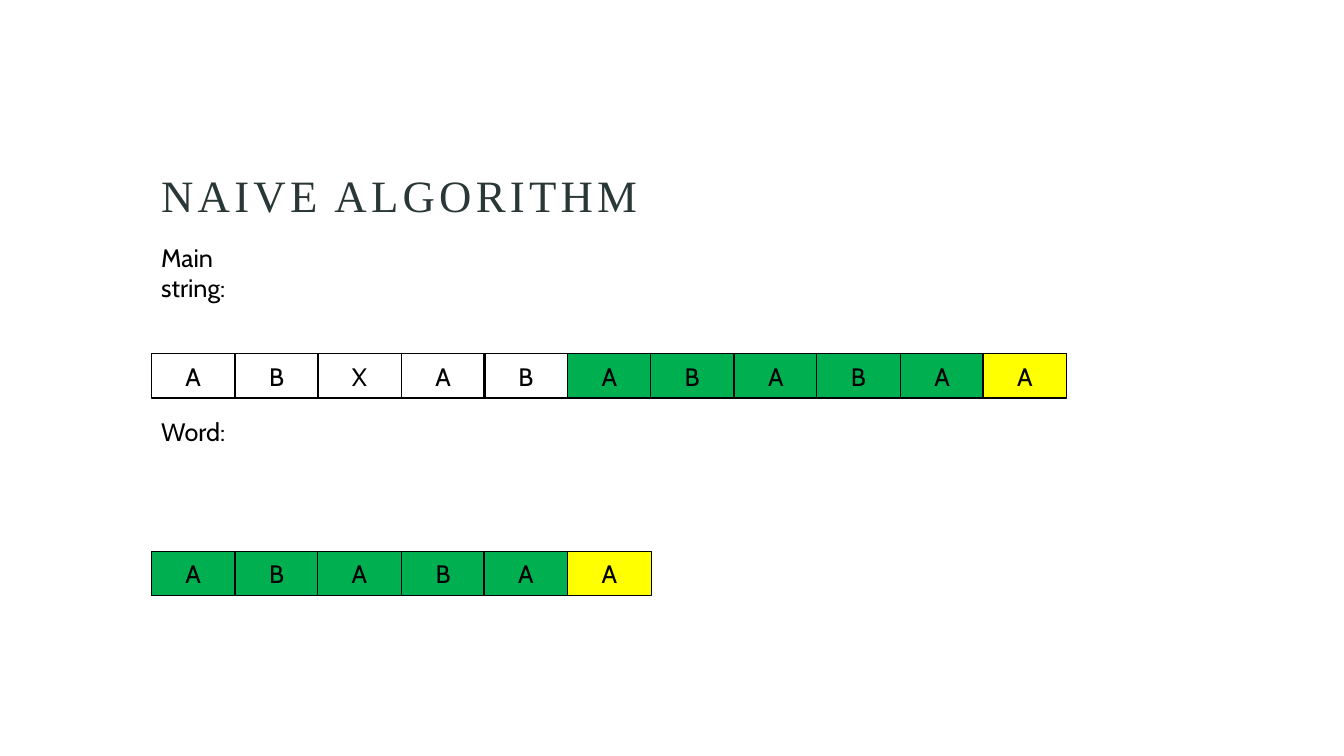
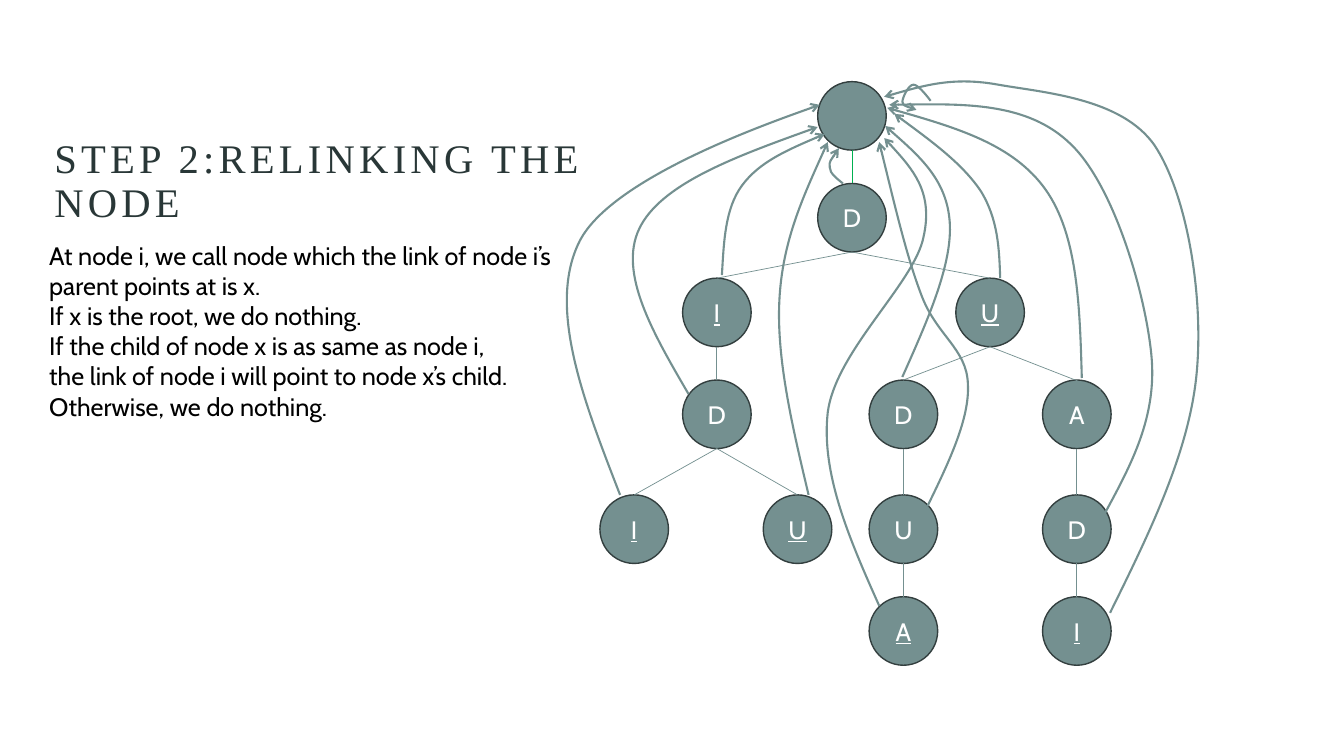
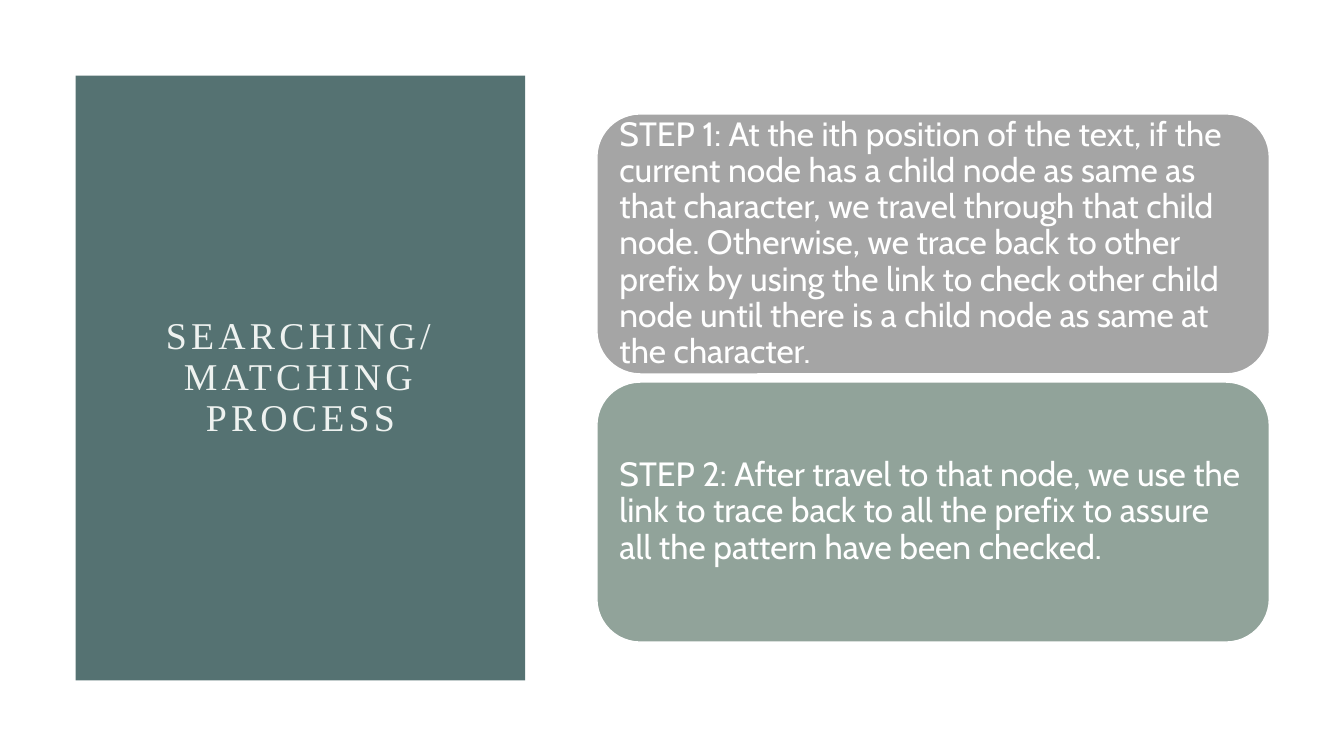
"""Build three slides on string matching: naive search, relinking a trie, searching."""
from lxml.etree import SubElement as Sub
from pptx import Presentation
from pptx.dml.color import RGBColor as Rgb
from pptx.enum.shapes import MSO_CONNECTOR as Link, MSO_SHAPE as Kind
from pptx.enum.text import MSO_ANCHOR as Anchor, PP_ALIGN as Align
from pptx.oxml.ns import qn
from pptx.util import Pt

PX = 9144
HUES = {
    "ink": "000000", "white": "FFFFFF", "title": "293737", "pale": "EEF2F0",
    "green": "00B050", "yellow": "FFFF00", "node": "749090", "rim": "333F3F",
    "panel": "557272", "gray": "A5A5A5", "sage": "91A39A",
}
SIDE = 68
NODES = {
    "root": (811, 81, "", False),
    "D": (811, 182, "D", False),
    "DU": (948, 276, "U", True),
    "DI": (677, 276, "I", True),
    "DID": (677, 377, "D", False),
    "DIDI": (595, 491, "I", True),
    "DIDU": (757, 491, "U", True),
    "DUD": (862, 377, "D", False),
    "DUDU": (862, 491, "U", False),
    "DUDUA": (862, 592, "A", True),
    "DUADI": (1034, 592, "I", True),
    "DUA": (1034, 377, "A", False),
    "DUAD": (1034, 491, "D", False),
}
ARCS = [
    [(836, 182), (830, 177), (823, 172), (823, 166), (822, 160), (832, 147), (832, 147)],
    [(716, 273), (718, 240), (719, 207), (736, 184), (753, 161), (785, 147), (818, 133)],
    [(683, 391), (648, 331), (613, 271), (634, 227), (655, 183), (733, 154), (811, 126)],
    [(615, 491), (579, 398), (542, 304), (575, 239), (608, 175), (813, 104), (813, 104)],
    [(802, 491), (786, 424), (770, 356), (773, 298), (776, 239), (799, 190), (821, 141)],
    [(992, 276), (991, 247), (990, 218), (973, 190), (955, 163), (921, 138), (887, 113)],
    [(895, 374), (920, 318), (945, 262), (942, 220), (939, 179), (909, 152), (878, 125)],
    [(920, 502), (941, 459), (962, 415), (960, 381), (959, 346), (929, 333), (914, 293),
     (899, 254), (886, 197), (872, 141)],
    [(872, 601), (843, 536), (814, 470), (821, 409), (829, 348), (907, 281), (916, 235),
     (926, 190), (901, 163), (877, 137)],
    [(1073, 375), (1071, 304), (1069, 233), (1037, 188), (1005, 143), (943, 125), (880, 107)],
    [(1096, 509), (1122, 461), (1148, 413), (1142, 352), (1136, 291), (1105, 184), (1062, 143),
     (1019, 101), (950, 103), (882, 104)],
    [(1101, 608), (1141, 527), (1180, 447), (1187, 369), (1194, 292), (1177, 192), (1145, 144),
     (1112, 97), (1035, 92), (990, 84), (946, 76), (912, 86), (877, 96)],
    [(923, 100), (917, 92), (910, 84), (906, 84), (901, 84), (895, 97), (895, 101),
     (896, 105), (902, 107), (909, 109)],
]


def hue(name):
    """Return the colour that a name stands for."""
    return Rgb.from_string(HUES[name])


def write(shape, text, size=18, color="ink", font="Cabin", align=Align.LEFT,
          anchor=Anchor.TOP, gap=None, track=0, under=False):
    """Fill a shape with formatted text, one paragraph a line."""
    frame = shape.text_frame
    frame.word_wrap = True
    frame.vertical_anchor = anchor
    for n, line in enumerate(text.split("\n")):
        para = frame.add_paragraph() if n else frame.paragraphs[0]
        para.alignment = align
        para.line_spacing = gap
        run = para.add_run()
        run.text = line
        run.font.name = font
        run.font.size = Pt(size)
        run.font.color.rgb = hue(color)
        if under:
            run.font.underline = True
        if track:
            run.font._element.set("spc", str(track * 100))


def label(slide, box, text, **style):
    """Add a text box."""
    write(slide.shapes.add_textbox(*(v * PX for v in box)), text, **style)


def title(slide, box, text, size, **style):
    """Add a spaced serif title."""
    style = {"color": "title", "anchor": Anchor.BOTTOM, **style}
    label(slide, box, text, size=size, font="Times New Roman", gap=0.9, track=3, **style)


def block(slide, kind, box, fill=None, line=None):
    """Add a flat preset shape."""
    shape = slide.shapes.add_shape(kind, *(v * PX for v in box))
    shape.shadow.inherit = False
    if fill:
        shape.fill.solid()
        shape.fill.fore_color.rgb = hue(fill)
    else:
        shape.fill.background()
    if line:
        stroke(shape, line, 1)
    else:
        shape.line.fill.background()
    return shape


def stroke(shape, color, width):
    """Set the colour and width of an outline."""
    shape.line.color.rgb = hue(color)
    shape.line.width = Pt(width)


def cells(slide, top, word, fills):
    """Draw a word as a row of boxed letters."""
    for n, (char, fill) in enumerate(zip(word, fills)):
        box = block(slide, Kind.RECTANGLE, (150 + (165 * n + 1) // 2, top, 83, 44), fill, "ink")
        write(box, char, align=Align.CENTER, anchor=Anchor.MIDDLE)


def node(slide, left, top, char, under):
    """Draw one round node of the tree."""
    disc = block(slide, Kind.OVAL, (left, top, SIDE, SIDE), "node", "rim")
    if char:
        write(disc, char, color="white", align=Align.CENTER, anchor=Anchor.MIDDLE, under=under)


def edge(slide, name):
    """Link a node to its parent, whose name is one letter shorter."""
    left, top = NODES[name][:2]
    up = NODES[name[:-1] or "root"]
    end = (1092, 387) if name == "DUA" else (left + SIDE // 2, top)
    spots = (up[0] + SIDE // 2, up[1] + SIDE, *end)
    line = slide.shapes.add_connector(Link.STRAIGHT, *(v * PX for v in spots))
    stroke(line, "green" if name == "D" else "node", 0.5)
    Sub(line._element.spPr, qn("a:effectLst"))


def arc(slide, spots):
    """Draw a curved arrow from a start and triples of Bezier points."""
    pen = slide.shapes.build_freeform(*spots[0], scale=PX)
    pen.add_line_segments(spots[1:], close=False)
    curve = pen.convert_to_shape()
    curve.shadow.inherit = False
    curve.fill.background()
    stroke(curve, "node", 1.5)
    root = curve._element
    steps = root.xpath(".//a:lnTo")
    track = steps[0].getparent()
    for n in range(0, len(steps), 3):
        bend = Sub(track, qn("a:cubicBezTo"))
        for step in steps[n:n + 3]:
            bend.append(step[0])
            track.remove(step)
    Sub(root.xpath(".//a:ln")[0], qn("a:tailEnd")).set("type", "arrow")


def naive(slide):
    """Show the naive match of a word in a string."""
    title(slide, (150, 75, 1038, 150), "NAIVE ALGORITHM", 32)
    cells(slide, 351, "ABXABABABAA", [None] * 5 + ["green"] * 5 + ["yellow"])
    cells(slide, 547, "ABABAA", ["green"] * 5 + ["yellow"])
    label(slide, (150, 235, 130, 40), "Main string:")
    label(slide, (150, 408, 86, 40), "Word:")


def relink(slide):
    """Show the tree whose links lead to the root."""
    title(slide, (44, 79, 550, 150), "STEP 2:RELINKING THE NODE", 29)
    for spot in NODES.values():
        node(slide, *spot)
    for name in NODES:
        if name != "root":
            edge(slide, name)
    for spots in ARCS:
        arc(slide, spots)
    label(slide, (39, 233, 544, 192),
          "At node i, we call node which the link of node i’s parent points at is x.\n"
          "If x is the root, we do nothing.\n"
          "If the child of node x is as same as node i,\n"
          "the link of node i will point to node x’s child. Otherwise, we do nothing.")


def search(slide):
    """Show the two steps of the search."""
    block(slide, Kind.RECTANGLE, (75, 75, 446, 600), "panel")
    title(slide, (150, 150, 296, 450), "SEARCHING/ MATCHING PROCESS", 27,
          color="pale", align=Align.CENTER, anchor=Anchor.MIDDLE)
    steps = [
        ("gray", "STEP 1: At the ith position of the text, if the current node has a child "
         "node as same as that character, we travel through that child node. Otherwise, we "
         "trace back to other prefix by using the link to check other child node until there "
         "is a child node as same at the character."),
        ("sage", "STEP 2: After travel to that node, we use the link to trace back to all "
         "the prefix to assure all the pattern have been checked."),
    ]
    for n, (fill, text) in enumerate(steps):
        card = block(slide, Kind.ROUNDED_RECTANGLE, (592, 113 + 266 * n, 667, 258), fill, "white")
        write(card, text, size=24, color="white", anchor=Anchor.MIDDLE, gap=0.9)


def main():
    """Build and save the deck."""
    deck = Presentation()
    deck.slide_width, deck.slide_height = 1333 * PX, 750 * PX
    for draw in (naive, relink, search):
        draw(deck.slides.add_slide(deck.slide_layouts[6]))
    deck.save("out.pptx")


if __name__ == "__main__":
    main()
